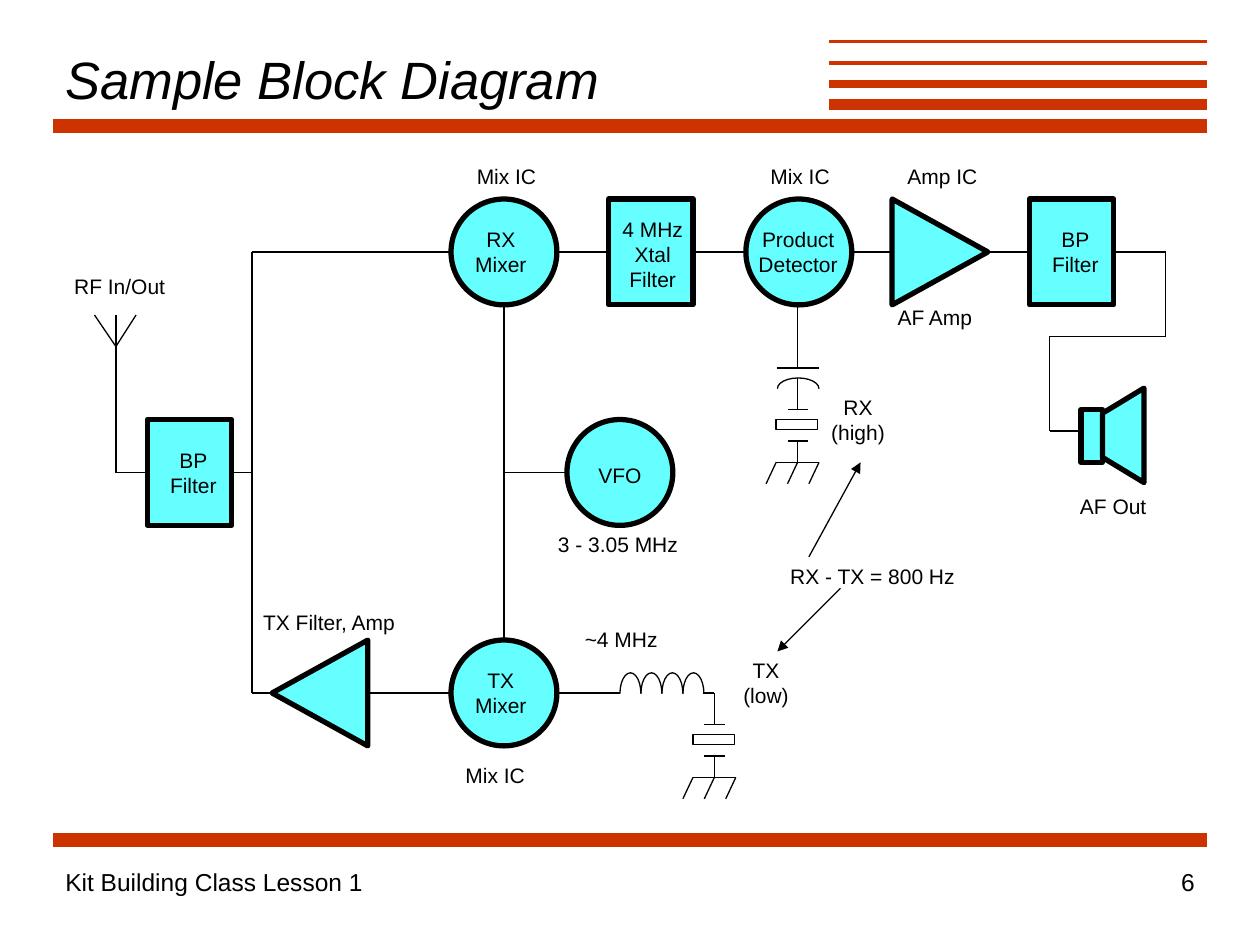
from dataclasses import dataclass
from itertools import pairwise
from typing import Optional

from pptx import Presentation
from pptx.dml.color import RGBColor
from pptx.enum.shapes import MSO_CONNECTOR, MSO_SHAPE
from pptx.enum.text import MSO_ANCHOR, MSO_AUTO_SIZE, PP_ALIGN
from pptx.oxml.ns import qn
from pptx.util import Inches, Pt
from lxml.etree import SubElement

COLORS = {"bar": "CC3300", "fill": "66FFFF", "ink": "000000"}
FONT = "Arial"
THIN, THICK = 0.75, 3


@dataclass
class Block:
    name: str
    kind: MSO_SHAPE
    x: float
    y: float
    w: float
    h: float
    rot: int = 0


@dataclass
class Wire:
    points: list[tuple[float, float]]
    start: Optional[tuple[str, int]] = None
    end: Optional[tuple[str, int]] = None
    arrow: bool = False


@dataclass
class Label:
    text: str
    x: float
    y: float
    w: float
    h: float = 0.3
    align: PP_ALIGN = PP_ALIGN.CENTER
    size: int = 12
    italic: bool = False
    wrap: bool = False
    anchor: MSO_ANCHOR = MSO_ANCHOR.TOP


BARS = [(0.42, 1, 8), (6.58, 0.83, 6), (6.58, 0.67, 4.5),
        (6.58, 0.5, 2.25), (6.58, 0.33, 1.5), (0.42, 6.67, 8)]

CIRCLE, BOX, TRI = MSO_SHAPE.OVAL, MSO_SHAPE.RECTANGLE, MSO_SHAPE.ISOSCELES_TRIANGLE
BLOCKS = [
    Block("rx_mixer", CIRCLE, 3.58, 1.58, 0.84, 0.84),
    Block("tx_mixer", CIRCLE, 3.58, 5.08, 0.84, 0.84),
    Block("vfo", CIRCLE, 4.5, 3.33, 0.84, 0.84),
    Block("detector", CIRCLE, 5.92, 1.58, 0.84, 0.84),
    Block("xtal_filter", BOX, 4.83, 1.58, 0.67, 0.84),
    Block("tx_amp", TRI, 2.12, 5.12, 0.84, 0.76, 270),
    Block("af_amp", TRI, 7.04, 1.62, 0.84, 0.76, 90),
    Block("af_filter", BOX, 8.17, 1.58, 0.67, 0.84),
    Block("rf_filter", BOX, 1.17, 3.33, 0.67, 0.84),
    Block("speaker", BOX, 8.58, 3.25, 0.17, 0.42),
]
HORN = [(9.08, 3.08), (9.08, 3.83), (8.75, 3.63), (8.75, 3.28)]

WIRES = [
    Wire([(4, 2.42), (4, 5.08)]),
    Wire([(3.58, 5.5), (2.92, 5.5)]),
    Wire([(4, 3.75), (4.5, 3.75)]),
    Wire([(2.17, 5.5), (2, 5.5), (2, 2), (3.58, 2)]),
    Wire([(1.83, 3.75), (2, 3.75)], start=("rf_filter", 3)),
    Wire([(1.17, 3.75), (0.92, 3.75), (0.92, 2.5)], start=("rf_filter", 1)),
    Wire([(0.75, 2.5), (0.92, 2.75), (1.08, 2.5)]),
    Wire([(4.42, 5.5), (4.92, 5.5)]),
    Wire([(4.42, 2), (4.83, 2)], end=("xtal_filter", 1)),
    Wire([(5.5, 2), (5.92, 2)], start=("xtal_filter", 3)),
    Wire([(6.75, 2), (7.08, 2)]),
    Wire([(7.83, 2), (8.17, 2)], end=("af_filter", 1)),
    Wire([(8.83, 2), (9.25, 2), (9.25, 2.67), (8.33, 2.67), (8.33, 3.42), (8.58, 3.42)],
         start=("af_filter", 3)),
    Wire([(4.92, 5.5), (4.83, 5.5)]),
    Wire([(5.58, 5.5), (5.67, 5.5), (5.67, 5.75)]),
    Wire([(6.33, 2.42), (6.33, 2.92)]),
    Wire([(6.17, 2.92), (6.5, 2.92)]),
    Wire([(6.33, 3), (6.33, 3.25)]),
    Wire([(6.42, 4.42), (6.83, 3.67)], arrow=True),
    Wire([(6.67, 4.67), (6.17, 5.17)], arrow=True),
]
CRYSTALS = [(5.67, 5.75), (6.33, 3.25)]

LEFT = PP_ALIGN.LEFT
LABELS = [
    Label("Sample Block Diagram", 0.42, 0.33, 6.17, 0.58, LEFT, 30, True, True, MSO_ANCHOR.MIDDLE),
    Label("RF In/Out", 0.49, 2.12, 0.92, align=LEFT),
    Label("BP\nFilter", 1.25, 3.5, 0.57, 0.5),
    Label("TX Filter, Amp", 1.99, 4.79, 1.26, align=LEFT),
    Label("TX\nMixer", 3.67, 5.25, 0.61, 0.5),
    Label("TX\n(low)", 5.8, 5.17, 0.56, 0.5),
    Label("VFO", 4.65, 3.62, 0.54),
    Label("RX\nMixer", 3.67, 1.75, 0.61, 0.5),
    Label("4 MHz\nXtal\nFilter", 4.84, 1.67, 0.68, 0.7),
    Label("Mix IC", 3.58, 6, 0.7),
    Label("Mix IC", 3.67, 1.25, 0.7),
    Label("Mix IC", 6, 1.25, 0.7),
    Label("~4 MHz", 4.54, 4.92, 0.78),
    Label("3 - 3.05 MHz", 4.32, 4.17, 1.17),
    Label("Product\nDetector", 5.92, 1.75, 0.83, 0.5),
    Label("RX\n(high)", 6.49, 3.08, 0.64, 0.5),
    Label("RX - TX = 800 Hz", 6.17, 4.42, 1.51),
    Label("AF Amp", 7.02, 2.37, 0.8),
    Label("BP\nFilter", 8.25, 1.75, 0.57, 0.5),
    Label("AF Out", 8.47, 3.87, 0.73),
    Label("Amp IC", 7.08, 1.25, 0.8),
    Label("Kit Building Class Lesson 1", 0.42, 6.83, 6.92, 0.5, LEFT, 14, wrap=True),
    Label("6", 7.5, 6.83, 2.08, 0.5, PP_ALIGN.RIGHT, 14, wrap=True),
]


def rgb(key: str) -> RGBColor:
    return RGBColor.from_string(COLORS[key])


def style(sp, width: float, fill: Optional[str] = None):
    sp.shadow.inherit = False
    sp.line.color.rgb = rgb("ink")
    sp.line.width = Pt(width)
    if fill:
        sp.fill.solid()
        sp.fill.fore_color.rgb = rgb(fill)
    else:
        sp.fill.background()
    return sp


def add_shape(s, kind: MSO_SHAPE, x: float, y: float, w: float, h: float,
              width: float = THIN, fill: Optional[str] = None):
    sp = s.shapes.add_shape(kind, Inches(x), Inches(y), Inches(w), Inches(h))
    return style(sp, width, fill)


def add_line(s, a: tuple[float, float], b: tuple[float, float],
             color: str = "ink", width: float = THIN):
    ln = s.shapes.add_connector(MSO_CONNECTOR.STRAIGHT, *map(Inches, (*a, *b)))
    ln.line.color.rgb = rgb(color)
    ln.line.width = Pt(width)
    SubElement(ln._element.spPr, qn("a:effectLst"))
    return ln


def add_wire(s, wire: Wire, blocks: dict) -> None:
    lines = [add_line(s, a, b) for a, b in pairwise(wire.points)]
    if wire.start:
        lines[0].begin_connect(blocks[wire.start[0]], wire.start[1])
    if wire.end:
        lines[-1].end_connect(blocks[wire.end[0]], wire.end[1])
    if wire.arrow:
        SubElement(lines[-1].line._get_or_add_ln(), qn("a:tailEnd"), type="triangle")


def add_arch(s, x: float, y: float, w: float, h: float) -> None:
    sp = add_shape(s, MSO_SHAPE.ARC, x, y, w, h)
    sp.adjustments[0] = 108
    sp.adjustments[1] = 0


def add_crystal(s, x: float, y: float) -> None:
    ground = y + 0.42
    for plate in (y, y + 0.25):
        add_line(s, (x - 0.08, plate), (x + 0.08, plate))
    add_shape(s, BOX, x - 0.17, y + 0.08, 0.33, 0.08)
    add_line(s, (x, y + 0.25), (x, ground))
    add_line(s, (x - 0.17, ground), (x + 0.17, ground))
    for dx in (-0.17, 0, 0.17):
        add_line(s, (x + dx, ground), (x + dx - 0.08, ground + 0.17))


def add_label(s, label: Label) -> None:
    tf = s.shapes.add_textbox(*map(Inches, (label.x, label.y, label.w, label.h))).text_frame
    tf.word_wrap = label.wrap
    tf.auto_size = MSO_AUTO_SIZE.NONE if label.wrap else MSO_AUTO_SIZE.SHAPE_TO_FIT_TEXT
    tf.vertical_anchor = label.anchor
    for i, text in enumerate(label.text.split("\n")):
        p = tf.add_paragraph() if i else tf.paragraphs[0]
        p.alignment = label.align
        r = p.add_run()
        r.text = text
        r.font.name = FONT
        r.font.size = Pt(label.size)
        r.font.italic = label.italic
        r.font.color.rgb = rgb("ink")


def main() -> None:
    prs = Presentation()
    prs.slide_width, prs.slide_height = Inches(10), Inches(7.5)
    s = prs.slides.add_slide(prs.slide_layouts[6])
    for x, y, width in BARS:
        add_line(s, (x, y), (9.58, y), "bar", width)
    blocks = {}
    for b in BLOCKS:
        blocks[b.name] = add_shape(s, b.kind, b.x, b.y, b.w, b.h, THICK, "fill")
        blocks[b.name].rotation = b.rot
    horn = [(Inches(x), Inches(y)) for x, y in HORN]
    fb = s.shapes.build_freeform(*horn[0])
    fb.add_line_segments(horn[1:], close=True)
    style(fb.convert_to_shape(), THICK, "fill")
    for wire in WIRES:
        add_wire(s, wire, blocks)
    for i in range(4):
        add_arch(s, 4.92 + i / 6, 5.34, 1 / 6, 0.33)
    add_arch(s, 6.17, 3, 0.33, 0.17)
    for x, y in CRYSTALS:
        add_crystal(s, x, y)
    for label in LABELS:
        add_label(s, label)
    prs.save("out.pptx")


if __name__ == "__main__":
    main()
